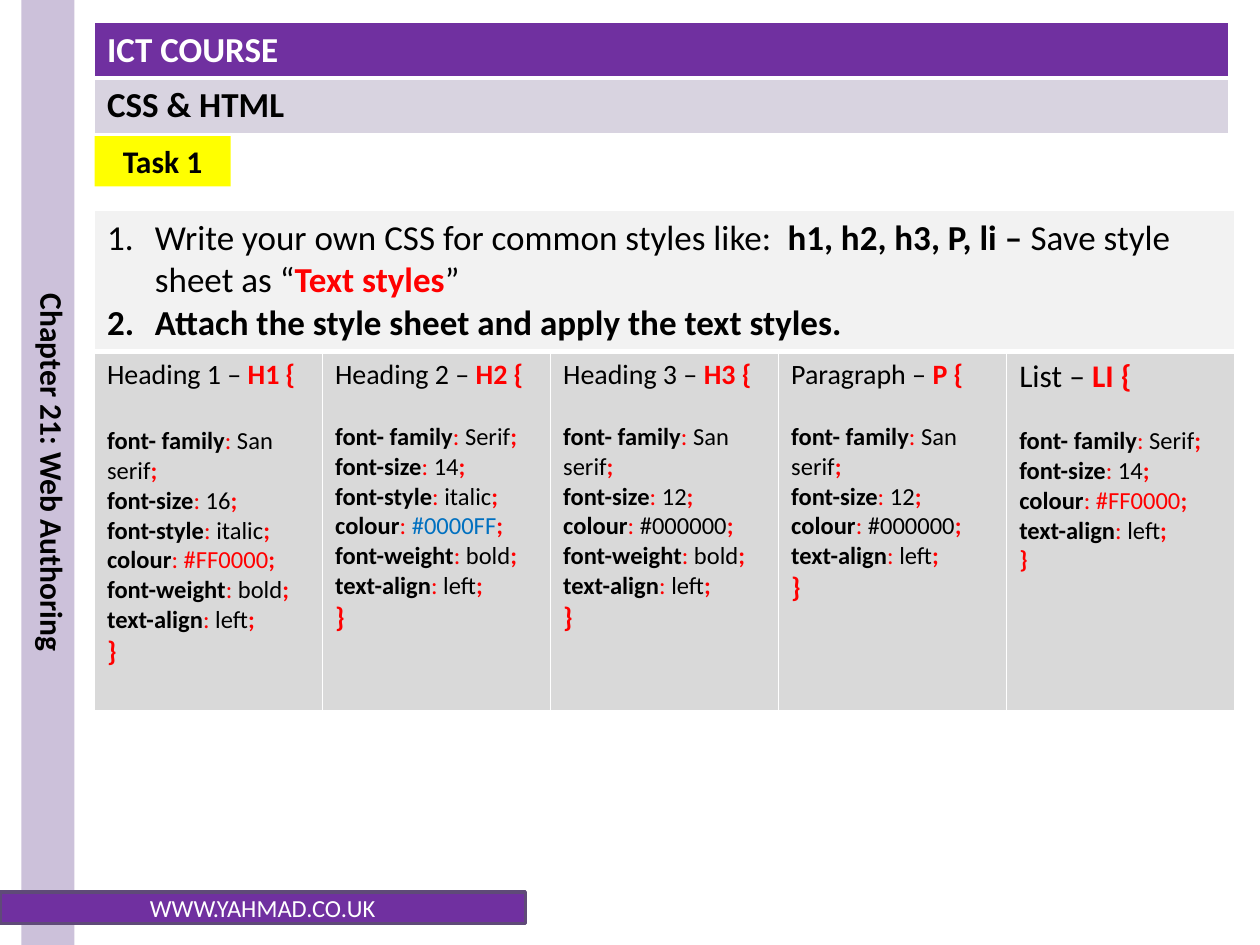
from dataclasses import dataclass

from lxml import etree
from pptx import Presentation
from pptx.dml.color import RGBColor
from pptx.enum.shapes import MSO_SHAPE
from pptx.enum.text import MSO_ANCHOR, MSO_AUTO_SIZE, PP_ALIGN
from pptx.oxml.ns import qn
from pptx.util import Inches, Pt

RECTANGLE = MSO_SHAPE.RECTANGLE
CENTER = PP_ALIGN.CENTER
TOP, MIDDLE = MSO_ANCHOR.TOP, MSO_ANCHOR.MIDDLE
NO_AUTOFIT = MSO_AUTO_SIZE.NONE

FONT = "Calibri"
COLORS = {
    "black": "000000", "white": "FFFFFF", "red": "FF0000", "blue": "0070C0",
    "purple": "7030A0", "outline": "5F4A78", "lilac": "CCC1DA",
    "subject": "D8D3E0", "yellow": "FFFF00", "task": "F2F2F2", "rule": "D9D9D9",
}


@dataclass
class Run:
    text: str
    bold: bool = False
    color: str = "black"


@dataclass
class Declaration:
    name: str
    value: str
    color: str = "black"


@dataclass
class Rule:
    label: str
    selector: str
    declarations: list[Declaration]
    heading_size: int = 16
    gap: float = 17.1
    close_size: int = 16


SAN_SERIF = Declaration("font- family", "San serif")
SERIF = Declaration("font- family", "Serif")
SIZE_12 = Declaration("font-size", "12")
SIZE_14 = Declaration("font-size", "14")
ITALIC = Declaration("font-style", "italic")
RED_TEXT = Declaration("colour", "#FF0000", "red")
BLACK_TEXT = Declaration("colour", "#000000")
BOLD = Declaration("font-weight", "bold")
LEFT = Declaration("text-align", "left")

RULES = [
    Rule("Heading 1", "H1", [SAN_SERIF, Declaration("font-size", "16"), ITALIC,
                             RED_TEXT, BOLD, LEFT], gap=19.5),
    Rule("Heading 2", "H2", [SERIF, SIZE_14, ITALIC,
                             Declaration("colour", "#0000FF", "blue"), BOLD, LEFT]),
    Rule("Heading 3", "H3", [SAN_SERIF, SIZE_12, BLACK_TEXT, BOLD, LEFT]),
    Rule("Paragraph", "P", [SAN_SERIF, SIZE_12, BLACK_TEXT, LEFT]),
    Rule("List", "LI", [SERIF, SIZE_14, RED_TEXT, LEFT], heading_size=18, close_size=14),
]
TASKS = [
    [Run("Write your own CSS for common styles like:  "),
     Run("h1, h2, h3, P, li – ", True), Run("Save style sheet as “"),
     Run("Text styles", True, "red"), Run("”")],
    [Run("Attach the style sheet and apply the text styles.", True)],
]


def rgb(color: str) -> RGBColor:
    return RGBColor.from_string(COLORS[color])


def set_fill(target, color: str) -> None:
    target.fill.solid()
    target.fill.fore_color.rgb = rgb(color)


def write(paragraph, runs: list[Run], size: float) -> None:
    paragraph.font.name = FONT
    paragraph.font.size = Pt(size)
    for part in runs:
        run = paragraph.add_run()
        run.text = part.text
        run.font.bold = part.bold
        run.font.color.rgb = rgb(part.color)


def number(paragraph) -> None:
    """Give a paragraph an automatic number with a hanging indent."""
    properties = paragraph._p.get_or_add_pPr()
    properties.set("marL", str(Inches(0.38)))
    properties.set("indent", str(-Inches(0.38)))
    etree.SubElement(properties, qn("a:buFont"), typeface="+mj-lt")
    etree.SubElement(properties, qn("a:buAutoNum"), type="arabicPeriod")


def style_cell(cell, color: str, bottom: float) -> None:
    """Draw white borders around a cell and fill it."""
    properties = cell._tc.get_or_add_tcPr()
    for side, width in (("lnL", 1), ("lnR", 1), ("lnT", 1), ("lnB", bottom)):
        line = etree.SubElement(properties, qn(f"a:{side}"), w=str(Pt(width)))
        paint = etree.SubElement(line, qn("a:solidFill"))
        etree.SubElement(paint, qn("a:srgbClr"), val=COLORS["white"])
    set_fill(cell, color)


def add_grid(slide, left: float, top: float, column_width: float, columns: int,
             heights: list[float], fills: list[str]):
    table = slide.shapes.add_table(
        len(heights), columns, Inches(left), Inches(top),
        Inches(column_width * columns), Inches(sum(heights))).table
    table.first_row = table.horz_banding = False
    for column in table.columns:
        column.width = Inches(column_width)
    for index, (height, color) in enumerate(zip(heights, fills)):
        table.rows[index].height = Inches(height)
        for cell in table.rows[index].cells:
            style_cell(cell, color, 3 if index == 0 else 1)
    return table


def add_bar(slide, left: float, top: float, width: float, height: float, color: str):
    bar = slide.shapes.add_shape(
        RECTANGLE, Inches(left), Inches(top), Inches(width), Inches(height))
    bar.shadow.inherit = False
    set_fill(bar, color)
    bar.line.fill.background()
    return bar


def write_rule(cell, rule: Rule) -> None:
    frame = cell.text_frame
    write(frame.paragraphs[0],
          [Run(f"{rule.label} – "), Run(f"{rule.selector} {{", True, "red")],
          rule.heading_size)
    for index, item in enumerate(rule.declarations):
        paragraph = frame.add_paragraph()
        if index == 0:
            paragraph.space_before = Pt(rule.gap)
        write(paragraph, [Run(item.name, True), Run(":", color="red"),
                          Run(f" {item.value}", color=item.color),
                          Run(";", True, "red")], 14)
    write(frame.add_paragraph(), [Run("}", True, "red")], rule.close_size)


def add_frame(slide) -> None:
    """Add the course header, the chapter sidebar and the footer."""
    header = add_grid(slide, 0.75, 0.18, 9, 1, [0.44, 0.43], ["purple", "subject"])
    write(header.cell(0, 0).text_frame.paragraphs[0], [Run("ICT COURSE", True, "white")], 20)
    write(header.cell(1, 0).text_frame.paragraphs[0], [Run("CSS & HTML", True)], 20)

    add_bar(slide, 0.17, 0, 0.42, 7.5, "lilac")
    chapter = slide.shapes.add_textbox(Inches(0.12), 0, Inches(0.5), Inches(7.5)).text_frame
    chapter.word_wrap = True
    chapter._txBody.bodyPr.set("vert", "vert")
    chapter.paragraphs[0].alignment = CENTER
    write(chapter.paragraphs[0], [Run("Chapter 21: Web Authoring", True)], 18)

    footer = add_bar(slide, 0, 7.08, 4.17, 0.25, "purple")
    footer.line.color.rgb = rgb("outline")
    footer.line.width = Pt(2)
    footer.text_frame.vertical_anchor = MIDDLE
    footer.text_frame.paragraphs[0].alignment = CENTER
    write(footer.text_frame.paragraphs[0], [Run("WWW.YAHMAD.CO.UK", color="white")], 14)


def add_task_title(slide) -> None:
    title = slide.shapes.title
    title.left, title.top = Inches(0.75), Inches(1.08)
    title.width, title.height = Inches(1.08), Inches(0.4)
    set_fill(title, "yellow")
    title.text_frame.auto_size = NO_AUTOFIT
    title.text_frame.vertical_anchor = TOP
    title.text_frame.paragraphs[0].alignment = CENTER
    write(title.text_frame.paragraphs[0], [Run("Task 1", True)], 18)


def add_style_table(slide) -> None:
    table = add_grid(slide, 0.75, 1.67, 1.81, len(RULES), [1.11, 2.85], ["task", "rule"])
    table.cell(0, 0).merge(table.cell(0, len(RULES) - 1))
    frame = table.cell(0, 0).text_frame
    for index, runs in enumerate(TASKS):
        paragraph = frame.add_paragraph() if index else frame.paragraphs[0]
        number(paragraph)
        write(paragraph, runs, 20)
    for column, rule in enumerate(RULES):
        write_rule(table.cell(1, column), rule)


def main() -> None:
    deck = Presentation()
    deck.slide_width, deck.slide_height = Inches(10), Inches(7.5)
    slide = deck.slides.add_slide(deck.slide_layouts[5])
    add_frame(slide)
    add_style_table(slide)
    add_task_title(slide)
    deck.save("out.pptx")


if __name__ == "__main__":
    main()
